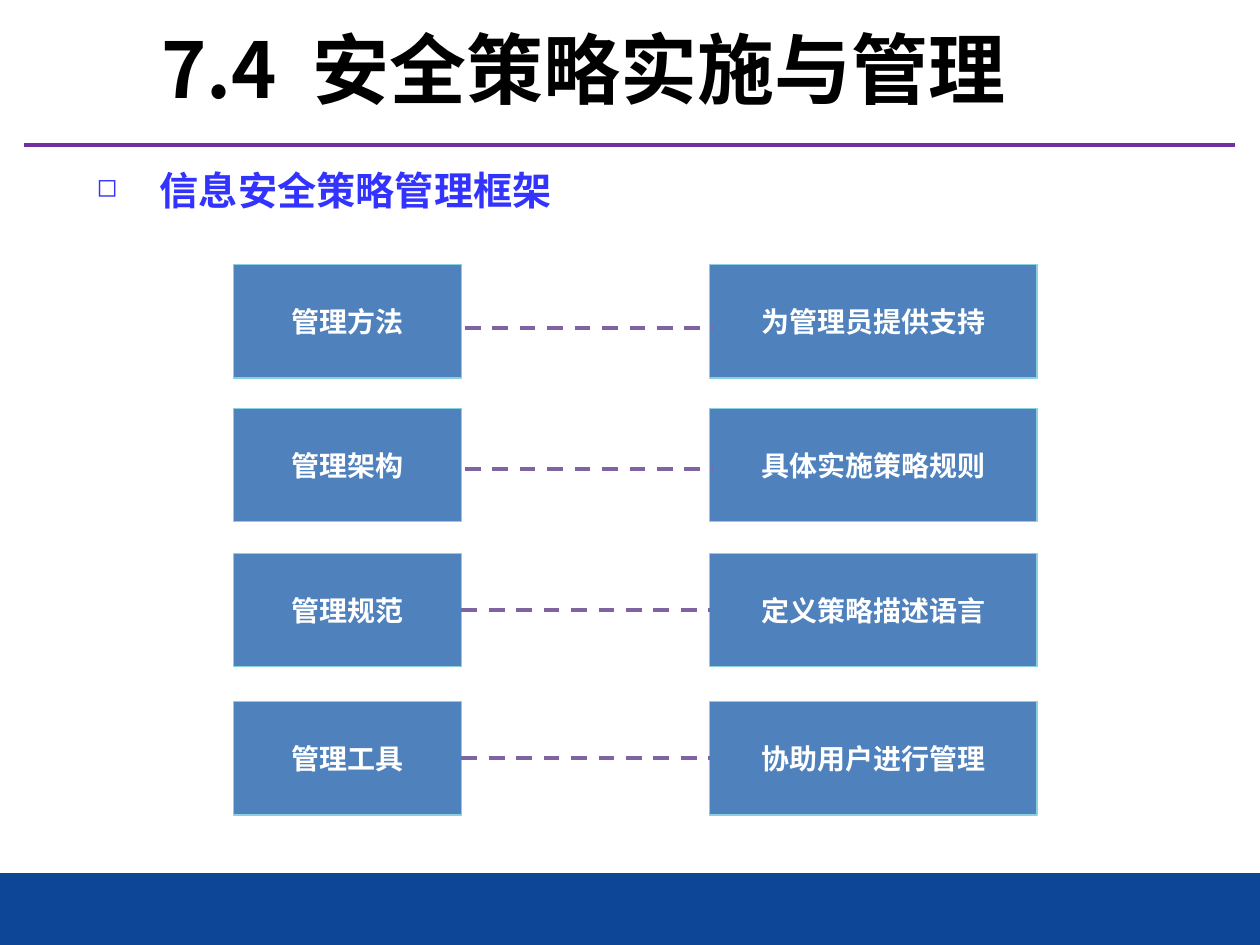
from dataclasses import dataclass

from lxml import etree
from pptx import Presentation, util as u
from pptx.dml.color import RGBColor
from pptx.enum import dml, shapes, text
from pptx.oxml.ns import qn


@dataclass(frozen=True)
class Theme:
    black: str = "000000"
    white: str = "FFFFFF"
    rule: str = "7030A0"
    band: str = "0D4697"
    lead: str = "3333FF"
    box: str = "4F81BD"
    edge: str = "8BD0E0"
    dash: str = "8064A2"
    sans: str = "Noto Sans CJK SC"
    serif: str = "Times New Roman"
    title: float = 44
    head: float = 22.4
    label: float = 16


def child(node, tag, **attrs):
    return etree.SubElement(node, qn(tag), attrs)


class Deck:
    def __init__(self, theme):
        self.theme = theme
        self.prs = Presentation()
        self.prs.slide_width, self.prs.slide_height = u.Pt(720), u.Pt(540)
        self.slide = self.prs.slides.add_slide(self.prs.slide_layouts[5])

    def run(self, para, words, size, color, face, space=0):
        run = para.add_run()
        run.text = words
        font = run.font
        font.size, font.bold, font.name = u.Pt(size), True, face
        font.color.rgb = RGBColor.from_string(color)
        props = font._element
        child(props, "a:ea", typeface=self.theme.sans)
        if space:
            props.set("spc", str(space * 100))

    def title(self, x, y, w, h, parts):
        shape = self.slide.shapes.title
        shape.left, shape.top, shape.width, shape.height = map(u.Pt, (x, y, w, h))
        frame = shape.text_frame
        frame.auto_size = text.MSO_AUTO_SIZE.NONE
        frame.vertical_anchor = text.MSO_ANCHOR.MIDDLE
        para = frame.paragraphs[0]
        para.alignment = text.PP_ALIGN.LEFT
        for words, space in parts:
            self.run(para, words, self.theme.title, self.theme.black,
                     self.theme.sans, space)

    def bullet(self, x, y, w, h, words):
        t = self.theme
        frame = self.slide.shapes.add_textbox(*map(u.Pt, (x, y, w, h))).text_frame
        frame.word_wrap = True
        frame.vertical_anchor = text.MSO_ANCHOR.MIDDLE
        para = frame.paragraphs[0]
        para.line_spacing = 0.8
        props = para._p.get_or_add_pPr()
        props.set("marL", str(u.Pt(36)))
        props.set("indent", str(u.Pt(-36)))
        child(child(props, "a:buClr"), "a:srgbClr", val=t.lead)
        child(props, "a:buSzPct", val="65000")
        child(props, "a:buChar", char="◻")
        self.run(para, words, t.head, t.lead, t.sans)

    def rect(self, x, y, w, h, fill, edge=None, words=""):
        shape = self.slide.shapes.add_shape(
            shapes.MSO_SHAPE.RECTANGLE, *map(u.Pt, (x, y, w, h)))
        shape.shadow.inherit = False
        shape.fill.solid()
        shape.fill.fore_color.rgb = RGBColor.from_string(fill)
        if edge:
            shape.line.color.rgb = RGBColor.from_string(edge)
            shape.line.width = u.Pt(0.75)
        else:
            shape.line.fill.background()
        if words:
            frame = shape.text_frame
            frame.vertical_anchor = text.MSO_ANCHOR.MIDDLE
            para = frame.paragraphs[0]
            para.alignment = text.PP_ALIGN.CENTER
            self.run(para, words, self.theme.label, self.theme.white,
                     self.theme.serif)
        return shape

    def line(self, x1, x2, y, color, dashed=False):
        line = self.slide.shapes.add_connector(
            shapes.MSO_CONNECTOR.STRAIGHT, *map(u.Pt, (x1, y, x2, y)))
        line.line.color.rgb = RGBColor.from_string(color)
        line.line.width = u.Pt(2.25)
        if dashed:
            line.line.dash_style = dml.MSO_LINE.DASH
        child(line._element.spPr, "a:effectLst")
        return line


def main():
    theme = Theme()
    deck = Deck(theme)

    # Frame of the page
    deck.line(13.7, 705.6, 82.8, theme.rule)
    deck.rect(0, 499, 720, 41, theme.band)

    # Title, with a wide gap after the number, and lead line
    deck.title(85, 9.4, 586.8, 59, [("7.4", 0), (" ", 10), ("安全策略实施与管理", 0)])
    deck.bullet(48.2, 94.3, 584, 33.8, "信息安全策略管理框架")

    # Pairs: top, part, purpose, height of a free line (None when joined)
    left, wide, right, broad, tall = 133.4, 130.3, 405.6, 187, 64.8
    pairs = [
        (151.2, "管理方法", "为管理员提供支持", 187.6),
        (233.3, "管理架构", "具体实施策略规则", 268),
        (316.3, "管理规范", "定义策略描述语言", None),
        (400.9, "管理工具", "协助用户进行管理", None),
    ]
    for top, part, goal, free in pairs:
        a = deck.rect(left, top, wide, tall, theme.box, theme.edge, part)
        b = deck.rect(right, top, broad, tall, theme.box, theme.edge, goal)
        if free:
            deck.line(265.7, 407.5, free, theme.dash, True)
        else:
            link = deck.line(left + wide, right, top + tall / 2, theme.dash, True)
            link.begin_connect(a, 3)
            link.end_connect(b, 1)

    deck.prs.save("out.pptx")


if __name__ == "__main__":
    main()
